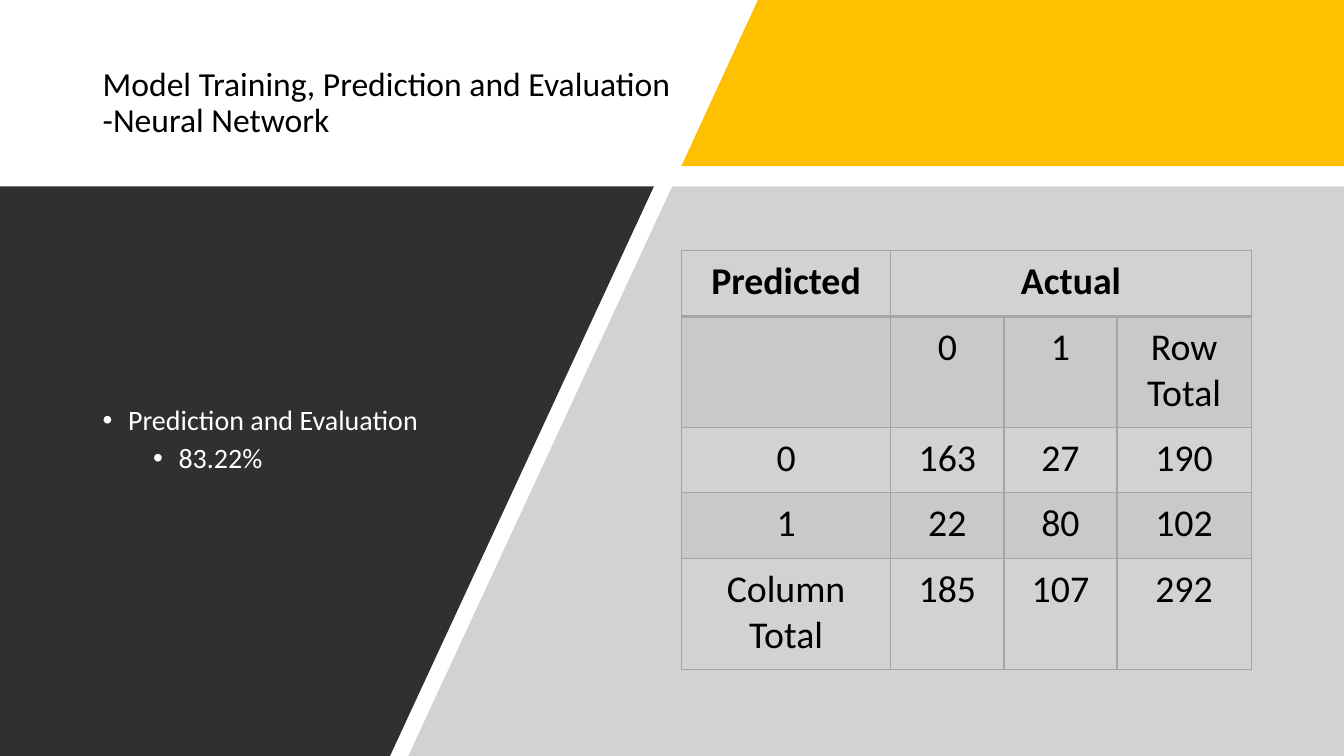
"""Build the neural network evaluation slide with its confusion matrix."""
from lxml import etree
from pptx import Presentation
from pptx.dml.color import RGBColor
from pptx.enum.text import MSO_ANCHOR, PP_ALIGN
from pptx.oxml.ns import qn
from pptx.util import Cm, Pt

BLACK = RGBColor(0x00, 0x00, 0x00)
WHITE = RGBColor(0xFF, 0xFF, 0xFF)
AMBER = RGBColor(0xFF, 0xC0, 0x00)
CHARCOAL = RGBColor(0x30, 0x30, 0x30)
PANEL_GRAY = RGBColor(0xA6, 0xA6, 0xA6)
TABLE_GRAY = RGBColor(0xA5, 0xA5, 0xA5)


def set_opacity(fill_parent, percent):
    color = fill_parent.find(qn("a:solidFill"))[0]
    etree.SubElement(color, qn("a:alpha"), val=str(percent * 1000))


def set_font(paragraph, size, color, bold=False):
    font = paragraph.font
    font.name, font.size, font.bold = "Calibri", Pt(size), bold
    font.color.rgb = color


deck = Presentation()
deck.slide_width, deck.slide_height = Cm(33.87), Cm(19.05)
slide = deck.slides.add_slide(deck.slide_layouts[6])

title = slide.shapes.add_textbox(Cm(2.34), Cm(1.02), Cm(14.83), Cm(3.18)).text_frame
title.word_wrap = True
title.margin_right = 0
title.vertical_anchor = MSO_ANCHOR.MIDDLE
heading = title.paragraphs[0]
heading.text = "Model Training, Prediction and Evaluation\v-Neural Network"
heading.line_spacing = 0.9
set_font(heading, 24, BLACK)

panels = [
    (AMBER, 100, [(19.1, 0), (33.87, 0), (33.87, 4.19), (17.17, 4.19)]),
    (PANEL_GRAY, 50, [(16.94, 4.7), (33.87, 4.7), (33.87, 19.05), (10.29, 19.05)]),
    (CHARCOAL, 100, [(0, 4.7), (16.48, 4.7), (9.83, 19.05), (0, 19.05)]),
]
for color, opacity, corners in panels:
    start, *rest = [(Cm(x), Cm(y)) for x, y in corners]
    outline = slide.shapes.build_freeform(*start)
    outline.add_line_segments(rest)
    panel = outline.convert_to_shape()
    panel.shadow.inherit = False
    panel.fill.solid()
    panel.fill.fore_color.rgb = color
    panel.line.fill.background()
    if opacity < 100:
        set_opacity(panel.fill._xPr, opacity)

findings = slide.shapes.add_textbox(Cm(2.34), Cm(6.05), Cm(10), Cm(10.1)).text_frame
findings.word_wrap = True
findings.vertical_anchor = MSO_ANCHOR.MIDDLE
for level, wording in enumerate(["Prediction and Evaluation", "83.22%"]):
    finding = findings.add_paragraph() if level else findings.paragraphs[0]
    finding.text = wording
    finding.level = level
    finding.line_spacing = 0.9
    finding.space_before = Pt(5 * level)
    properties = finding._p.get_or_add_pPr()
    properties.set("marL", str(Cm(0.64 + 1.27 * level)))
    properties.set("indent", str(-Cm(0.64)))
    etree.SubElement(properties, qn("a:buFont"), typeface="Arial")
    etree.SubElement(properties, qn("a:buChar"), char="•")
    set_font(finding, 20, WHITE)

matrix = [
    ["Predicted", "Actual", "", ""],
    ["", "0", "1", "Row Total"],
    ["0", "163", "27", "190"],
    ["1", "22", "80", "102"],
    ["Column Total", "185", "107", "292"],
]
column_widths = [5.28, 2.85, 2.85, 3.38]
row_heights = [1.65, 2.8, 1.65, 1.65, 2.8]
confusion = slide.shapes.add_table(
    len(matrix), len(column_widths), Cm(17.17), Cm(6.32),
    Cm(sum(column_widths)), Cm(sum(row_heights))).table
confusion.horz_banding = False
for column, width in zip(confusion.columns, column_widths):
    column.width = Cm(width)
for row, height in zip(confusion.rows, row_heights):
    row.height = Cm(height)
confusion.cell(0, 1).merge(confusion.cell(0, 3))

for r, entries in enumerate(matrix):
    for c, entry in enumerate(entries):
        cell = confusion.cell(r, c)
        cell.margin_left = cell.margin_right = Cm(0.38)
        cell.margin_top = cell.margin_bottom = Cm(0.2)
        label = cell.text_frame.paragraphs[0]
        label.text = entry
        label.alignment = PP_ALIGN.CENTER
        set_font(label, 27, BLACK, bold=r == 0)
        cell_properties = cell._tc.get_or_add_tcPr()
        if r % 2:
            cell.fill.solid()
            cell.fill.fore_color.rgb = TABLE_GRAY
            set_opacity(cell_properties, 20)
        else:
            cell.fill.background()
        for position, side in enumerate("LRTB"):
            under_header = (r, side) in [(0, "B"), (1, "T")]
            border = etree.Element(qn(f"a:ln{side}"), w=str(Pt(2 if under_header else 1)))
            stroke = etree.SubElement(border, qn("a:solidFill"))
            etree.SubElement(stroke, qn("a:srgbClr"), val=str(TABLE_GRAY))
            cell_properties.insert(position, border)

deck.save("out.pptx")
